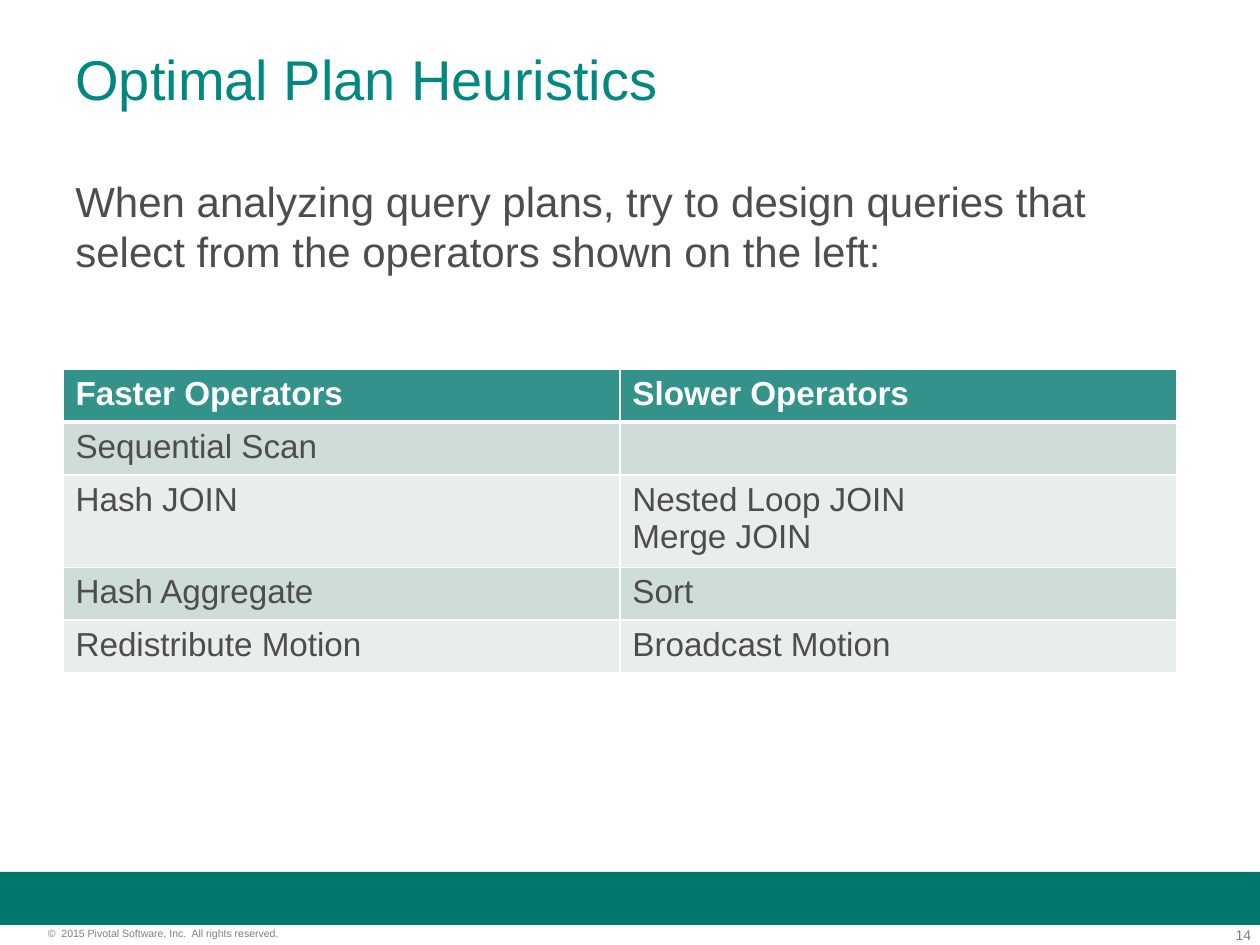
from lxml import etree
from pptx import Presentation
from pptx import util as u
from pptx.dml.color import RGBColor
from pptx.enum import shapes, text
from pptx.oxml.ns import qn

TITLE = "Optimal Plan Heuristics"
BODY = ("When analyzing query plans, try to design queries that "
        "select from the operators shown on the left:")
COPYRIGHT = "©  2015 Pivotal Software, Inc.  All rights reserved."
PAGE = "14"
OPERATORS = [  # each cell is a list of paragraphs
    (["Faster Operators"], ["Slower Operators"]),
    (["Sequential Scan"], []),
    (["Hash JOIN"], ["Nested Loop JOIN", "Merge JOIN"]),
    (["Hash Aggregate"], ["Sort"]),
    (["Redistribute Motion"], ["Broadcast Motion"]),
]
THEME = {
    "font": "Arial",
    "title": (32, "008881"), "body": (24, "4D4D4D"),
    "head": (19, "FFFFFF"), "cell": (19, "4D4D4D"),
    "page": (8, "7F7F7F"), "copyright": (6, "7F7F7F"),
    "band": "00786E", "head_fill": "33928A",
    "row_fills": ("CEDCDA", "E8EEED"), "border": "FFFFFF",
}
ROW_H, EXTRA_LINE_H, COL_W = 0.42, 0.31, 4.42


def add_run(p, words, style, bold=False):
    size, color = THEME[style]
    r = p.add_run()
    r.text = words
    r.font.name, r.font.size, r.font.bold = THEME["font"], u.Pt(size), bold
    r.font.color.rgb = RGBColor.from_string(color)


def add_text(s, words, style, box, inset=True, align=text.PP_ALIGN.LEFT):
    tf = s.shapes.add_textbox(*map(u.Inches, box)).text_frame
    tf.word_wrap = True
    if not inset:
        tf.margin_left = tf.margin_top = tf.margin_right = tf.margin_bottom = 0
    tf.paragraphs[0].alignment = align
    add_run(tf.paragraphs[0], words, style)


def set_borders(cell, bottom):
    """Draw 1 pt sides and a bottom edge of the given width, before the fill."""
    tc_pr = cell._tc.get_or_add_tcPr()
    widths = {"a:lnL": 1, "a:lnR": 1, "a:lnT": 1, "a:lnB": bottom}
    for i, (tag, width) in enumerate(widths.items()):
        ln = etree.Element(qn(tag), w=str(u.Pt(width)))
        fill = etree.SubElement(ln, qn("a:solidFill"))
        etree.SubElement(fill, qn("a:srgbClr"), val=THEME["border"])
        tc_pr.insert(i, ln)


def add_operators(s):
    heights = [ROW_H + EXTRA_LINE_H * (max(map(len, row)) - 1) for row in OPERATORS]
    n_cols = len(OPERATORS[0])
    table = s.shapes.add_table(
        len(OPERATORS), n_cols, u.Inches(0.5), u.Inches(2.93),
        u.Inches(COL_W * n_cols), u.Inches(sum(heights))).table
    for col in table.columns:
        col.width = u.Inches(COL_W)
    for i, (row, height) in enumerate(zip(OPERATORS, heights)):
        table.rows[i].height = u.Inches(height)
        head = i == 0
        color = THEME["head_fill"] if head else THEME["row_fills"][(i - 1) % 2]
        for j, lines in enumerate(row):
            cell = table.cell(i, j)
            cell.fill.solid()
            cell.fill.fore_color.rgb = RGBColor.from_string(color)
            set_borders(cell, 3 if head else 1)
            tf = cell.text_frame
            for k, line in enumerate(lines):
                p = tf.add_paragraph() if k else tf.paragraphs[0]
                add_run(p, line, "head" if head else "cell", bold=head)


def main():
    prs = Presentation()
    prs.slide_width, prs.slide_height = u.Inches(10), u.Inches(7.5)
    s = prs.slides.add_slide(prs.slide_layouts[6])

    band = s.shapes.add_shape(shapes.MSO_SHAPE.RECTANGLE, 0, u.Inches(6.92),
                              prs.slide_width, u.Inches(0.42))
    band.shadow.inherit = False
    band.fill.solid()
    band.fill.fore_color.rgb = RGBColor.from_string(THEME["band"])
    band.line.fill.background()

    add_text(s, PAGE, "page", (9.35, 7.35, 0.58, 0.13), False, text.PP_ALIGN.RIGHT)
    add_text(s, COPYRIGHT, "copyright", (0.38, 7.36, 2.49, 0.1), False)
    add_text(s, TITLE, "title", (0.5, 0.3, 9, 1.25))
    add_text(s, BODY, "body", (0.5, 1.34, 9, 4.95))
    add_operators(s)
    prs.save("out.pptx")


if __name__ == "__main__":
    main()
